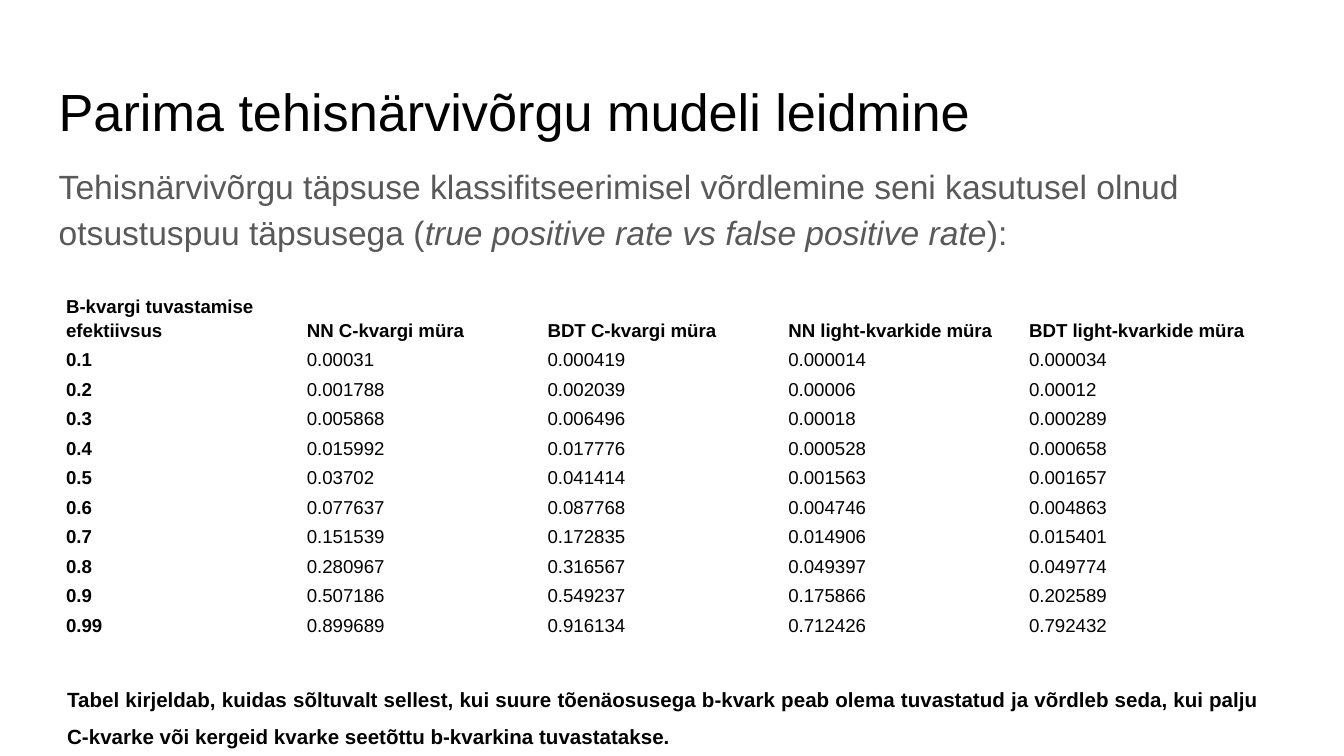
"""Build a slide that compares neural network and decision tree noise rates."""
from dataclasses import dataclass

import pptx
import pptx.dml.color
import pptx.enum.text
import pptx.oxml.ns
import pptx.shapes.base
import pptx.slide
import pptx.text.text
import pptx.util
from lxml import etree

Cm = pptx.util.Cm
RGBColor = pptx.dml.color.RGBColor
Anchor = pptx.enum.text.MSO_ANCHOR
Align = pptx.enum.text.PP_ALIGN

BLACK = RGBColor(0x00, 0x00, 0x00)
GREY = RGBColor(0x59, 0x59, 0x59)
FONT = "Arial"


@dataclass(frozen=True)
class Box:
    left: float
    top: float
    width: float
    height: float


@dataclass(frozen=True)
class Style:
    size: int
    color: RGBColor = BLACK
    bold: bool = False
    line: float = 1.0
    after: int = 0
    align: Align = Align.LEFT


HEAD = (
    "B-kvargi tuvastamise efektiivsus",
    "NN C-kvargi müra",
    "BDT C-kvargi müra",
    "NN light-kvarkide müra",
    "BDT light-kvarkide müra",
)
RATES = (
    ("0.1", "0.00031", "0.000419", "0.000014", "0.000034"),
    ("0.2", "0.001788", "0.002039", "0.00006", "0.00012"),
    ("0.3", "0.005868", "0.006496", "0.00018", "0.000289"),
    ("0.4", "0.015992", "0.017776", "0.000528", "0.000658"),
    ("0.5", "0.03702", "0.041414", "0.001563", "0.001657"),
    ("0.6", "0.077637", "0.087768", "0.004746", "0.004863"),
    ("0.7", "0.151539", "0.172835", "0.014906", "0.015401"),
    ("0.8", "0.280967", "0.316567", "0.049397", "0.049774"),
    ("0.9", "0.507186", "0.549237", "0.175866", "0.202589"),
    ("0.99", "0.899689", "0.916134", "0.712426", "0.792432"),
)
INTRO = (
    ("Tehisnärvivõrgu täpsuse klassifitseerimisel võrdlemine seni kasutusel olnud "
     "otsustuspuu täpsusega (", False),
    ("true positive rate vs false positive rate", True),
    ("):", False),
)
NOTE = (
    "Tabel kirjeldab, kuidas sõltuvalt sellest, kui suure tõenäosusega b-kvark peab "
    "olema tuvastatud ja võrdleb seda, kui palju C-kvarke või kergeid kvarke seetõttu "
    "b-kvarkina tuvastatakse."
)


def format_para(para: pptx.text.text._Paragraph, style: Style) -> None:
    """Apply a text style to a whole paragraph."""
    para.font.name = FONT
    para.font.size = pptx.util.Pt(style.size)
    para.font.bold = style.bold
    para.font.color.rgb = style.color
    para.line_spacing = style.line
    para.space_before = pptx.util.Pt(0)
    para.space_after = pptx.util.Pt(style.after)
    para.alignment = style.align


def fill_box(
    shape: pptx.shapes.base.BaseShape,
    box: Box,
    runs: tuple[tuple[str, bool], ...],
    style: Style,
) -> pptx.text.text._Paragraph:
    """Place a text shape and write its runs as one paragraph."""
    shape.left, shape.top = Cm(box.left), Cm(box.top)
    shape.width, shape.height = Cm(box.width), Cm(box.height)
    frame = shape.text_frame
    frame.word_wrap = True
    frame.auto_size = pptx.enum.text.MSO_AUTO_SIZE.NONE
    frame.vertical_anchor = Anchor.TOP
    frame.margin_left = frame.margin_right = Cm(0.25)
    frame.margin_top = frame.margin_bottom = Cm(0.25)
    para = frame.paragraphs[0]
    for text, slant in runs:
        run = para.add_run()
        run.text = text
        if slant:
            run.font.italic = True
    format_para(para, style)
    return para


def clear_bullet(para: pptx.text.text._Paragraph) -> None:
    """Remove the bullet and the indent of a paragraph."""
    props = para._p.get_or_add_pPr()
    props.set("marL", "0")
    props.set("indent", "0")
    etree.SubElement(props, pptx.oxml.ns.qn("a:buNone"))


def draw_table(slide: pptx.slide.Slide, box: Box, top_row: float) -> None:
    """Draw the rates with a bold first row and first column."""
    rows = (HEAD, *RATES)
    table = slide.shapes.add_table(
        len(rows), len(HEAD),
        Cm(box.left), Cm(box.top), Cm(box.width), Cm(box.height),
    ).table
    table.first_row = table.horz_banding = False
    for col in table.columns:
        col.width = Cm(box.width / len(HEAD))
    for i, row in enumerate(rows):
        table.rows[i].height = Cm(
            (box.height - top_row) / len(RATES) if i else top_row
        )
        for j, text in enumerate(row):
            cell = table.cell(i, j)
            cell.fill.background()
            cell.vertical_anchor = Anchor.BOTTOM
            cell.margin_left = cell.margin_right = Cm(0.08)
            cell.margin_top = cell.margin_bottom = Cm(0.05)
            cell.text = text
            bold = i == 0 or j == 0
            format_para(cell.text_frame.paragraphs[0], Style(10, bold=bold, line=1.15))


def main() -> None:
    """Build and save the slide."""
    deck = pptx.Presentation()
    deck.slide_width, deck.slide_height = Cm(25.4), Cm(14.29)
    slide = deck.slides.add_slide(deck.slide_layouts[1])
    title, body = slide.placeholders
    fill_box(
        title, Box(0.86, 1.24, 23.67, 1.6),
        (("Parima tehisnärvivõrgu mudeli leidmine", False),), Style(28),
    )
    intro = fill_box(
        body, Box(0.86, 2.77, 23.67, 2.41), INTRO,
        Style(18, GREY, line=1.15, after=16),
    )
    clear_bullet(intro)
    draw_table(slide, Box(1.17, 5.23, 22.75, 6.85), 1.27)
    note = slide.shapes.add_textbox(0, 0, 0, 0)
    fill_box(
        note, Box(1.02, 12.5, 23.04, 1.5), ((NOTE, False),),
        Style(11, bold=True, line=1.5, align=Align.JUSTIFY),
    )
    deck.save("out.pptx")


if __name__ == "__main__":
    main()
